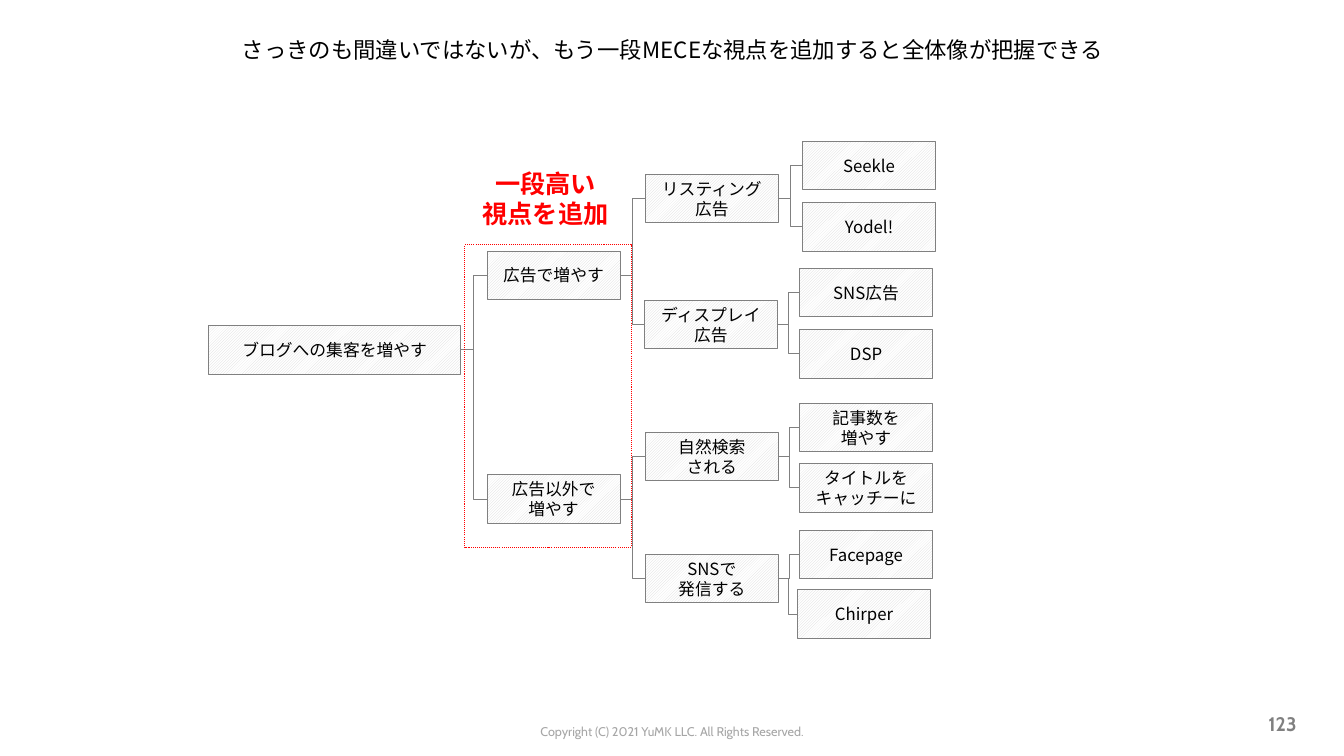
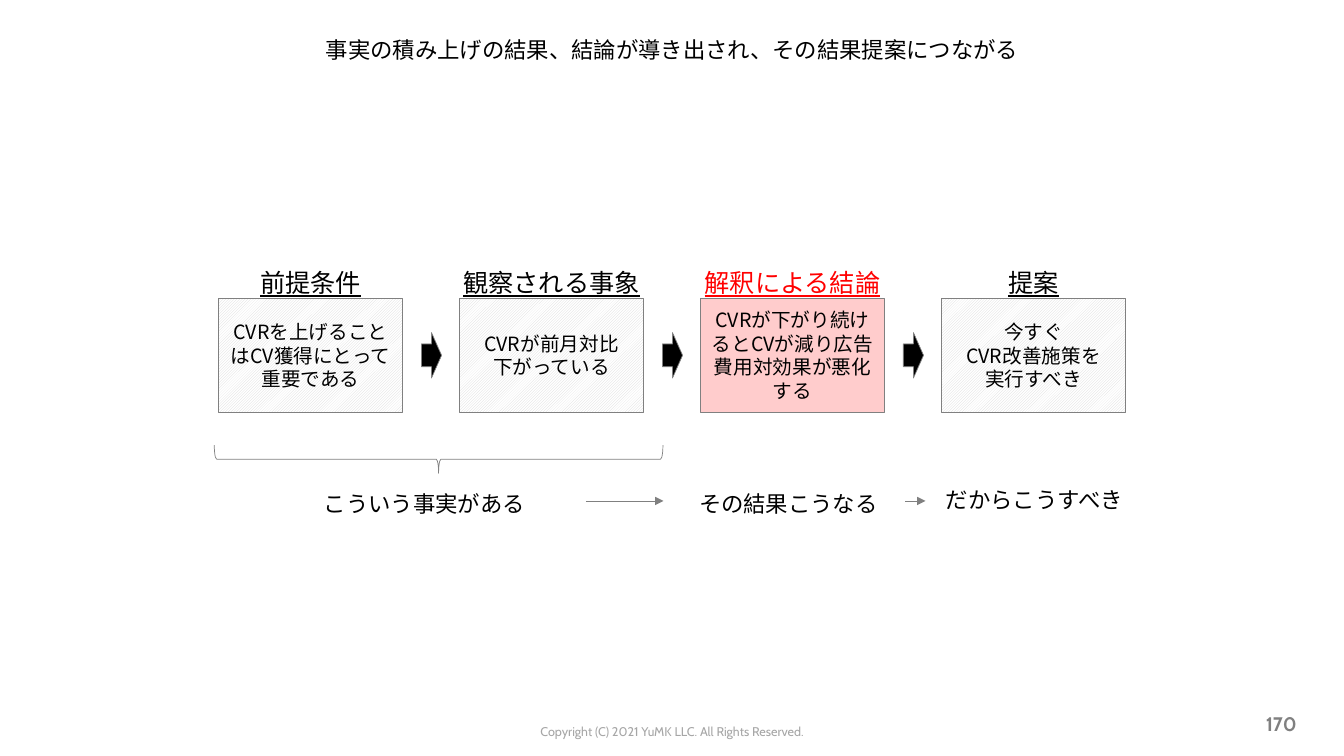
from lxml import etree
from pptx import Presentation
from pptx.dml.color import RGBColor
from pptx.enum.dml import MSO_LINE, MSO_PATTERN
from pptx.enum.shapes import MSO_CONNECTOR, MSO_SHAPE
from pptx.enum.text import MSO_ANCHOR, MSO_AUTO_SIZE, PP_ALIGN
from pptx.oxml.ns import qn
from pptx.util import Pt

PX = 9144
WIDE, HIGH = 1333, 750
RECT = MSO_SHAPE.RECTANGLE
ARROW = MSO_SHAPE.RIGHT_ARROW
BRACE = MSO_SHAPE.LEFT_BRACE
BENT, PLAIN = MSO_CONNECTOR.ELBOW, MSO_CONNECTOR.STRAIGHT
HATCH = MSO_PATTERN.LIGHT_UPWARD_DIAGONAL
DOTS = MSO_LINE.ROUND_DOT
MID, TOP = MSO_ANCHOR.MIDDLE, MSO_ANCHOR.TOP
CENTER, RIGHT = PP_ALIGN.CENTER, PP_ALIGN.RIGHT
FIXED = MSO_AUTO_SIZE.NONE
LEFT_SITE, RIGHT_SITE = 1, 3
MAIN, SIDE = "Noto Sans CJK JP", "Cabin"
INK = {
    "black": "000000", "white": "FFFFFF", "gray": "808080", "pale": "A6A6A6",
    "hatch": "D9D9D9", "red": "FF0000", "pink": "FFCCCC",
}

NODE_W, NODE_H = 132, 48
TREE = ("ブログへの集客を増やす", 0, 183, [
    ("広告で増やす", 276, 109, [
        ("リスティング広告", 433, 33, [
            ("Seekle", 589, 0, []),
            ("Yodel!", 589, 61, []),
        ]),
        ("ディスプレイ広告", 432, 158, [
            ("SNS広告", 586, 126, []),
            ("DSP", 586, 187, []),
        ]),
    ]),
    ("広告以外で\n増やす", 276, 331, [
        ("自然検索\nされる", 433, 289, [
            ("記事数を\n増やす", 586, 260, []),
            ("タイトルをキャッチーに", 586, 320, []),
        ]),
        ("SNSで\n発信する", 433, 410, [
            ("Facepage", 586, 386, []),
            ("Chirper", 584, 445, []),
        ]),
    ]),
])

CARD_W, CARD_H, STEP = 182, 113, 239
CARDS = [
    ("前提条件", "CVRを上げることはCV獲得にとって重要である", False),
    ("観察される事象", "CVRが前月対比\n下がっている", False),
    ("解釈による結論", "CVRが下がり続けるとCVが減り広告費用対効果が悪化する", True),
    ("提案", "今すぐ\nCVR改善施策を\n実行すべき", False),
]
NOTES = [
    ("こういう事実がある", 93, 221, 222),
    ("その結果こうなる", 465, 221, 200),
    ("だからこうすべき", 709, 217, 200),
]


def px(*sizes):
    return [round(size * PX) for size in sizes]


def hue(name):
    return RGBColor.from_string(INK[name])


def write(shape, text, size, ink="black", face=MAIN, bold=False, under=False,
          align=CENTER, anchor=MID, wrap=True):
    frame = shape.text_frame
    frame.auto_size = FIXED
    frame.word_wrap = wrap
    frame.vertical_anchor = anchor
    for index, line in enumerate(text.split("\n")):
        para = frame.add_paragraph() if index else frame.paragraphs[0]
        para.alignment = align
        para.line_spacing = Pt(round(size * 1.2, 1))
        run = para.add_run()
        run.text = line
        font = run.font
        font.size = Pt(size)
        font.name = face
        font.bold = bold
        font.underline = under
        font.color.rgb = hue(ink)
        etree.SubElement(run._r.get_or_add_rPr(), qn("a:ea"), typeface=face)


def label(slide, box, text, size, **style):
    write(slide.shapes.add_textbox(*px(*box)), text, size, **style)


def stroke(line, ink="gray", width=0.5):
    line.color.rgb = hue(ink)
    line.width = Pt(width)


def form(slide, kind, box, fill=None):
    shape = slide.shapes.add_shape(kind, *px(*box))
    shape.shadow.inherit = False
    if fill == "hatch":
        shape.fill.patterned()
        shape.fill.pattern = HATCH
        shape.fill.fore_color.rgb = hue("hatch")
        shape.fill.back_color.rgb = hue("white")
    elif fill:
        shape.fill.solid()
        shape.fill.fore_color.rgb = hue(fill)
    else:
        shape.fill.background()
    stroke(shape.line)
    return shape


def link(slide, kind, ends, head=False):
    line = slide.shapes.add_connector(kind, *px(*ends))
    stroke(line.line)
    etree.SubElement(line._element.spPr, qn("a:effectLst"))
    if head:
        etree.SubElement(line.line._get_or_add_ln(), qn("a:tailEnd"), type="triangle")
    return line


def page(deck, title, number):
    slide = deck.slides.add_slide(deck.slide_layouts[5])
    head = slide.shapes.title
    head.left, head.top, head.width, head.height = px(67, 22, 1200, 54)
    write(head, title, 16)
    label(slide, (420, 713, 493, 25),
          "Copyright (C) 2021 YuMK LLC. All Rights Reserved.", 9,
          ink="pale", face=SIDE, anchor=TOP)
    label(slide, (985, 698, 311, 40), number, 14,
          ink="gray", face=SIDE, bold=True, align=RIGHT)
    return slide


def branch(slide, node, x, y, width=NODE_W):
    text, left, top, kids = node
    shape = form(slide, RECT, (x + left, y + top, width, NODE_H), "hatch")
    write(shape, text, 12)
    for kid in kids:
        child = branch(slide, kid, x, y)
        line = link(slide, BENT, (x + left + width, y + top + NODE_H / 2,
                                  x + kid[1], y + kid[2] + NODE_H / 2))
        line.begin_connect(shape, RIGHT_SITE)
        line.end_connect(child, LEFT_SITE)
    return shape


def tree(slide, x, y):
    branch(slide, TREE, x, y, 250)
    frame = form(slide, RECT, (x + 254, y + 103, 165, 300))
    stroke(frame.line, "red", 0.75)
    frame.line.dash_style = DOTS
    label(slide, (x + 252, y + 22, 164, 71), "一段高い\n視点を追加", 18,
          ink="red", bold=True, anchor=TOP)


def flow(slide, x, y):
    for index, (head, body, key) in enumerate(CARDS):
        left = x + index * STEP
        card = form(slide, RECT, (left, y + 36, CARD_W, CARD_H),
                    "pink" if key else "hatch")
        write(card, body, 14)
        label(slide, (left - 8, y, CARD_W + 16, 40), head, 18,
              ink="red" if key else "black", under=True, anchor=TOP, wrap=False)
        if index:
            form(slide, ARROW, (left - 38, y + 70, 20, 45), "black")


def recap(slide, x, y):
    brace = form(slide, BRACE, (x + 204, y - 27, 28, 445))
    brace.rotation = 270
    for text, left, top, width in NOTES:
        label(slide, (x + left, y + top, width, 37), text, 16,
              anchor=TOP, wrap=False)
    for start, end in ((364, 441), (681, 701)):
        link(slide, PLAIN, (x + start, y + 237, x + end, y + 237), True)


def main():
    deck = Presentation()
    deck.slide_width, deck.slide_height = px(WIDE, HIGH)
    tree(page(deck, "さっきのも間違いではないが、もう一段MECEな視点を追加すると全体像が把握できる",
              "123"), 207, 140)
    slide = page(deck, "事実の積み上げの結果、結論が導き出され、その結果提案につながる", "170")
    flow(slide, 217, 260)
    recap(slide, 217, 260)
    deck.save("out.pptx")


if __name__ == "__main__":
    main()
